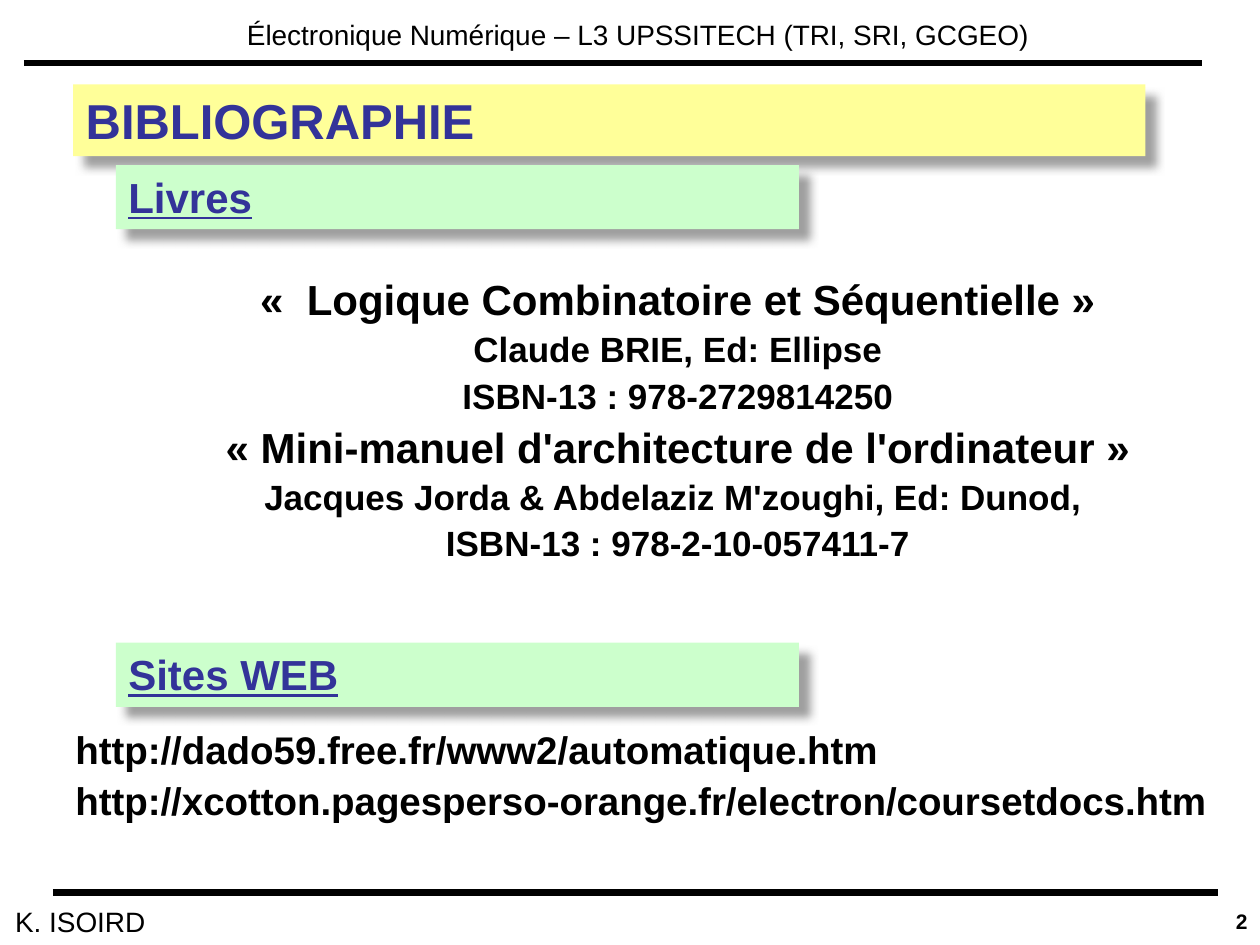
from lxml import etree
from pptx import Presentation
from pptx.dml.color import RGBColor
from pptx.enum.shapes import MSO_CONNECTOR, MSO_SHAPE
from pptx.enum.text import MSO_ANCHOR, MSO_AUTO_SIZE, PP_ALIGN
from pptx.oxml import parse_xml
from pptx.oxml.ns import qn
from pptx.util import Inches, Pt

LEFT, MID, RIGHT = PP_ALIGN.LEFT, PP_ALIGN.CENTER, PP_ALIGN.RIGHT
TOP, CENTRE = MSO_ANCHOR.TOP, MSO_ANCHOR.MIDDLE
FIXED = MSO_AUTO_SIZE.NONE
RECT = MSO_SHAPE.RECTANGLE
LINE = MSO_CONNECTOR.STRAIGHT
WIDE, HIGH = Inches(10), Inches(7.5)
COLS, ROWS = 100, 75
BLACK, NAVY, YELLOW, GREEN = "000000", "333399", "FFFF99", "CCFFCC"
NS = "http://schemas.openxmlformats.org/drawingml/2006/main"
SHADE = (
    f'<a:effectLst xmlns:a="{NS}"><a:outerShdw blurRad="{Pt(5)}" dist="{Pt(8.5)}" '
    'dir="2700000" algn="ctr" rotWithShape="0"><a:srgbClr val="808080">'
    '<a:alpha val="75000"/></a:srgbClr></a:outerShdw></a:effectLst>'
)
BOOKS = [
    ("«  Logique Combinatoire et Séquentielle »", 24),
    ("Claude BRIE, Ed: Ellipse", 20),
    ("ISBN-13 : 978-2729814250", 20),
    ("« Mini-manuel d'architecture de l'ordinateur »", 24),
    ("Jacques Jorda & Abdelaziz M'zoughi, Ed: Dunod, ", 20),
    ("ISBN-13 : 978-2-10-057411-7", 20),
]
SITES = [
    ("http://dado59.free.fr/www2/automatique.htm", 22),
    ("http://xcotton.pagesperso-orange.fr/electron/coursetdocs.htm", 22),
]


def paint(hue):
    """Turn a hex string into a colour."""
    return RGBColor.from_string(hue)


def grid(x, y, w, h):
    """Turn columns and rows of the slide grid into lengths."""
    col, row = WIDE / COLS, HIGH / ROWS
    return [round(n) for n in (x * col, y * row, w * col, h * row)]


def write(frame, lines, hue=BLACK, bold=True, under=False, align=LEFT,
          space=1.0, indent=0, anchor=TOP, inset=(0.1, 0.05), wrap=True):
    """Fill a text frame with (text, size) lines in one style."""
    frame.auto_size, frame.word_wrap = FIXED, wrap
    frame.vertical_anchor = anchor
    frame.margin_left = frame.margin_right = Inches(inset[0])
    frame.margin_top = frame.margin_bottom = Inches(inset[1])
    for i, (text, size) in enumerate(lines):
        para = frame.add_paragraph() if i else frame.paragraphs[0]
        para.text = text
        para.alignment, para.line_spacing = align, space
        props = para._p.get_or_add_pPr()
        props.set("marL", str(Inches(indent)))
        props.set("indent", "0")
        for run in para.runs:
            font = run.font
            font.name, font.size, font.bold = "Arial", Pt(size), bold
            font.underline = under
            font.color.rgb = paint(hue)


def label(slide, box, lines, **style):
    """Add a text box with styled lines."""
    write(slide.shapes.add_textbox(*grid(*box)).text_frame, lines, **style)


def rule(slide, x, y, w):
    """Add a thick level rule."""
    left, top, width, _ = grid(x, y, w, 0)
    line = slide.shapes.add_connector(LINE, left, top, left + width, top)
    line.line.color.rgb = paint(BLACK)
    line.line.width = Pt(4)
    etree.SubElement(line._element.spPr, qn("a:effectLst"))


def band(shape, text, size, fill, under=False):
    """Style a filled heading band with a soft shadow."""
    shape.fill.solid()
    shape.fill.fore_color.rgb = paint(fill)
    shape.line.fill.background()
    shape._element.spPr.append(parse_xml(SHADE))
    write(shape.text_frame, [(text, size)], NAVY, under=under)


def title(slide, box, text):
    """Place the slide title in its band."""
    shape = slide.shapes.title
    shape.left, shape.top, shape.width, shape.height = grid(*box)
    band(shape, text, 28, YELLOW)


def part(slide, box, text):
    """Add a section heading band."""
    band(slide.shapes.add_shape(RECT, *grid(*box)), text, 24, GREEN, True)


def frame(slide, x, y, w, h):
    """Add header, footer and page number around a box."""
    plain = {"bold": False, "inset": (0.12, 0.06)}
    foot = y + h
    rule(slide, x + 4.2, foot - 4.2, w - 7.5)
    label(slide, (x, foot - 3.8, 12.8, 3.9), [("K. ISOIRD", 16)], wrap=False, **plain)
    head = "Électronique Numérique – L3 UPSSITECH (TRI, SRI, GCGEO)"
    label(slide, (x + 18.4, y + 0.8, w - 18.4, 3.9), [(head, 16)], **plain)
    rule(slide, x + 1.9, y + 5, w - 6.5)
    label(slide, (x + w - 23.3, foot - 4, 23.3, 4), [("2", 12)],
          align=RIGHT, space=1.1, anchor=CENTRE)


def main():
    """Build the bibliography slide."""
    deck = Presentation()
    deck.slide_width, deck.slide_height = WIDE, HIGH
    slide = deck.slides.add_slide(deck.slide_layouts.get_by_name("Title Only"))
    frame(slide, 0, 0, COLS, ROWS)
    title(slide, (5.8, 6.7, 85.1, 5.7), "BIBLIOGRAPHIE")
    for y, text in ((13.1, "Livres"), (51, "Sites WEB")):
        part(slide, (9.2, y, 54.2, 5.1), text)
    label(slide, (9.2, 20.8, 89.2, 24.7), BOOKS, align=MID, space=1.1)
    label(slide, (0, 56.8, COLS, 9.1), SITES, space=1.1, indent=0.5)
    deck.save("out.pptx")


if __name__ == "__main__":
    main()
